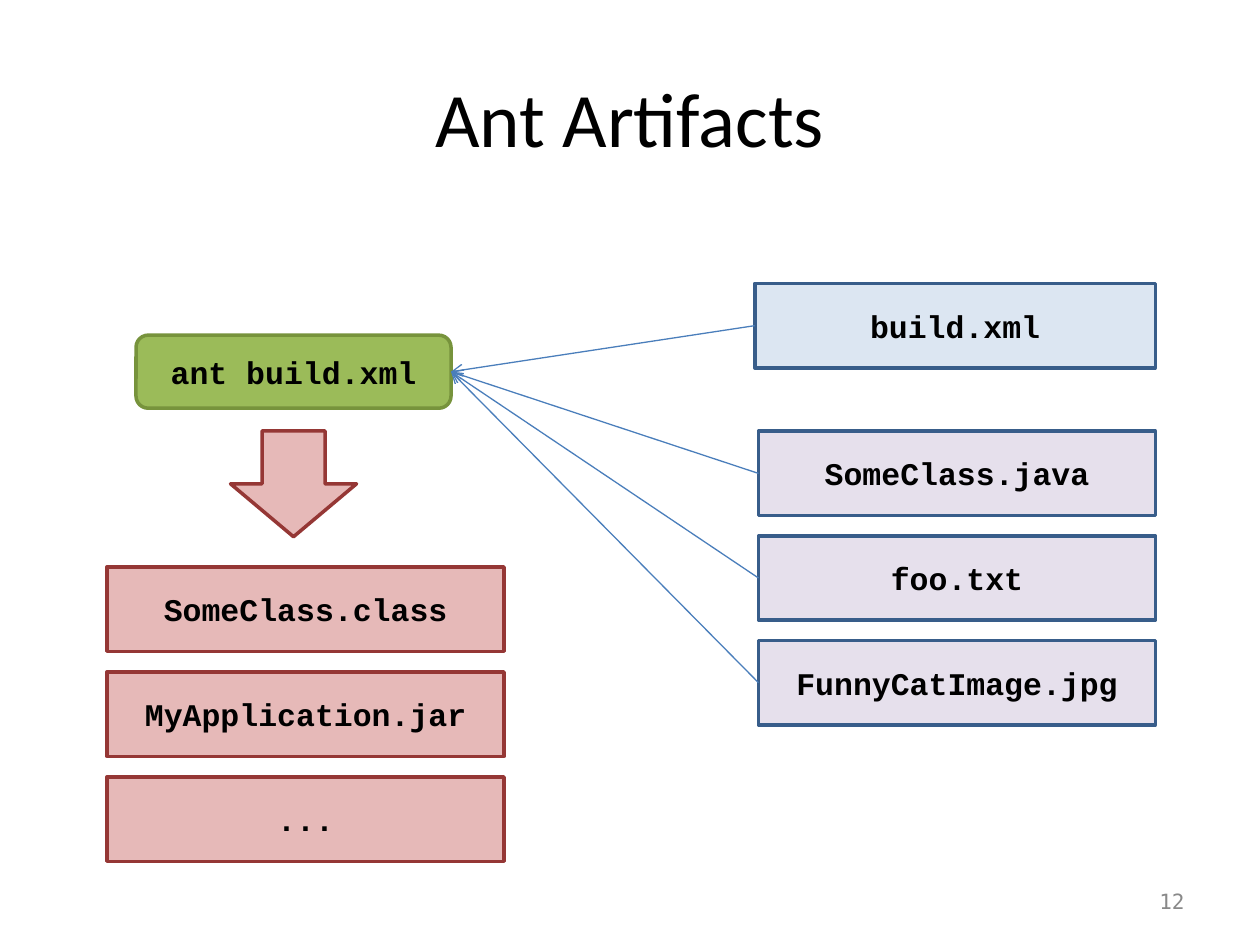
"""Build the Ant Artifacts slide: a build step, its inputs and its outputs."""
from dataclasses import dataclass

from lxml.etree import SubElement
from pptx import Presentation
from pptx.dml.color import RGBColor
from pptx.enum.shapes import MSO_CONNECTOR as Link, MSO_SHAPE as Preset
from pptx.enum.text import MSO_ANCHOR as Anchor, PP_ALIGN as Align
from pptx.oxml.ns import qn
from pptx.util import Pt


@dataclass(frozen=True)
class Theme:
    """Colours, fonts and type sizes of the slide."""
    ink: str = "000000"
    muted: str = "898989"
    step_fill: str = "9BBB59"
    step_edge: str = "77933C"
    script_fill: str = "DCE6F2"
    input_fill: str = "E6E0EC"
    input_edge: str = "385D8A"
    output_fill: str = "E6B9B8"
    output_edge: str = "953735"
    link: str = "4A7EBB"
    heading_font: str = "Calibri"
    code_font: str = "Courier New"
    number_font: str = "DejaVu Sans Mono"
    heading_size: int = 44
    code_size: int = 18
    number_size: int = 12
    edge_width: float = 2
    link_width: float = 0.75


THEME = Theme()
LEFT_SIDE, RIGHT_SIDE = 1, 3
FILE_WIDTH, FILE_HEIGHT = 226.8, 48.24


def write(holder, wording, font_name, size, colour, align=Align.CENTER, bold=False):
    """Put one formatted, vertically centred line of text in a shape."""
    frame = holder.text_frame
    frame.word_wrap = True
    frame.vertical_anchor = Anchor.MIDDLE
    frame.text = wording
    line = frame.paragraphs[0]
    line.alignment = align
    font = line.runs[0].font
    font.name, font.size, font.bold = font_name, Pt(size), bold
    font.color.rgb = RGBColor.from_string(colour)


def add_label(slide, bounds, wording, *style):
    """Add a text box with one line of text."""
    label = slide.shapes.add_textbox(*map(Pt, bounds))
    write(label, wording, *style)


def add_block(slide, preset, bounds, fill, edge):
    """Add a filled and outlined preset shape."""
    block = slide.shapes.add_shape(preset, *map(Pt, bounds))
    block.shadow.inherit = False
    block.fill.solid()
    block.fill.fore_color.rgb = RGBColor.from_string(fill)
    block.line.color.rgb = RGBColor.from_string(edge)
    block.line.width = Pt(THEME.edge_width)
    return block


def add_code_block(slide, preset, bounds, wording, fill, edge):
    """Add a block that carries a command or file name."""
    block = add_block(slide, preset, bounds, fill, edge)
    write(block, wording, THEME.code_font, THEME.code_size, THEME.ink, bold=True)
    return block


def add_file_stack(slide, left, top, pitch, names, fill, edge):
    """Add equally spaced file boxes from the top down."""
    return [
        add_code_block(slide, Preset.RECTANGLE,
                       (left, top + row * pitch, FILE_WIDTH, FILE_HEIGHT),
                       name, fill, edge)
        for row, name in enumerate(names)
    ]


def add_link(slide, source, target):
    """Join the left of the source to the right of the target with an arrow."""
    link = slide.shapes.add_connector(Link.STRAIGHT, 0, 0, 0, 0)
    link.begin_connect(source, LEFT_SIDE)
    link.end_connect(target, RIGHT_SIDE)
    link.line.color.rgb = RGBColor.from_string(THEME.link)
    link.line.width = Pt(THEME.link_width)
    properties = link.element.spPr
    SubElement(properties.find(qn("a:ln")), qn("a:tailEnd"), type="arrow")
    SubElement(properties, qn("a:effectLst"))


def main():
    """Build and save the slide."""
    deck = Presentation()
    deck.slide_width, deck.slide_height = Pt(720), Pt(540)
    slide = deck.slides.add_slide(deck.slide_layouts[6])

    add_label(slide, (36, 21.6, 648, 90), "Ant Artifacts",
              THEME.heading_font, THEME.heading_size, THEME.ink)
    add_label(slide, (516.24, 500.4, 167.76, 28.8), "12",
              THEME.number_font, THEME.number_size, THEME.muted, Align.RIGHT)

    build_step = add_code_block(slide, Preset.ROUNDED_RECTANGLE,
                                (77.76, 191.52, 180, 41.76), "ant build.xml",
                                THEME.step_fill, THEME.step_edge)
    build_script = add_code_block(slide, Preset.RECTANGLE,
                                  (431.28, 162, 228.96, FILE_HEIGHT), "build.xml",
                                  THEME.script_fill, THEME.input_edge)
    inputs = add_file_stack(slide, 433.44, 246.4, 59.8,
                            ("SomeClass.java", "foo.txt", "FunnyCatImage.jpg"),
                            THEME.input_fill, THEME.input_edge)
    add_file_stack(slide, 61.2, 324, 60,
                   ("SomeClass.class", "MyApplication.jar", "..."),
                   THEME.output_fill, THEME.output_edge)

    for source in (build_script, *inputs):
        add_link(slide, source, build_step)
    add_block(slide, Preset.DOWN_ARROW, (131.76, 246.24, 72, 60.48),
              THEME.output_fill, THEME.output_edge)

    deck.save("out.pptx")


if __name__ == "__main__":
    main()
